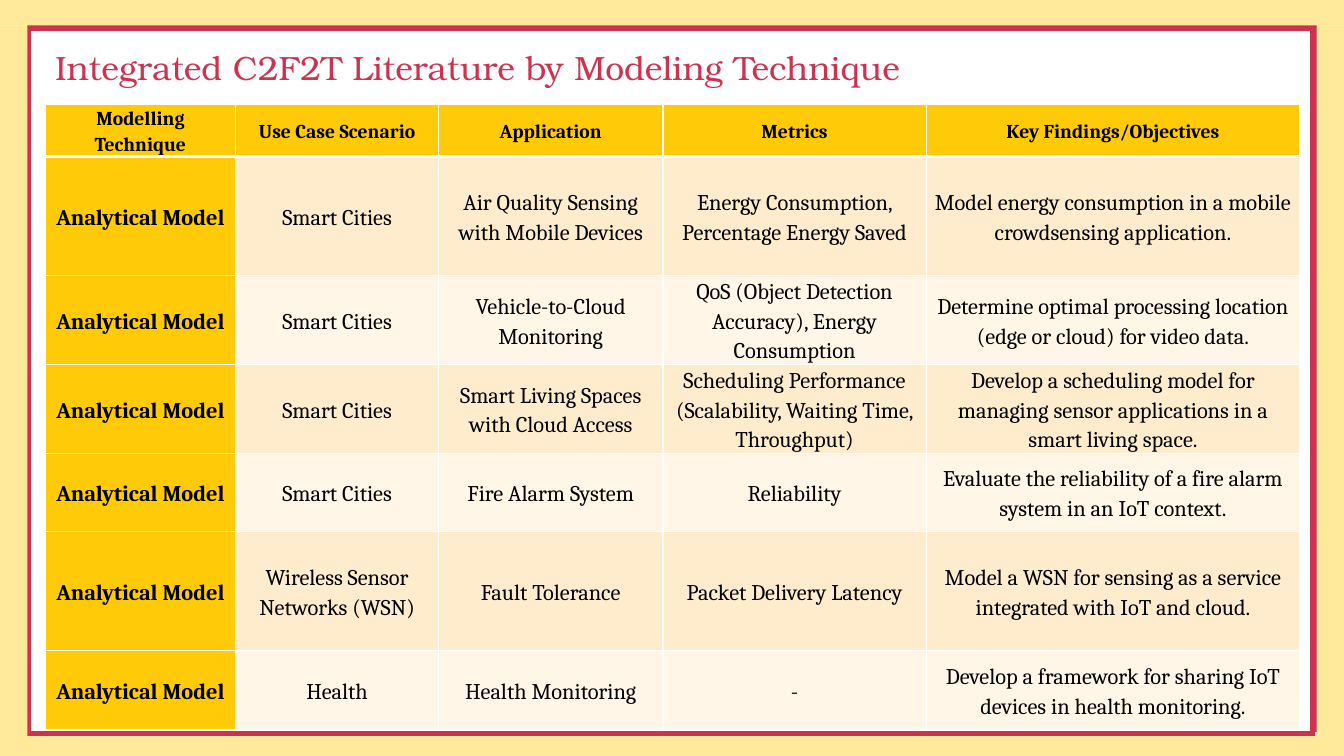
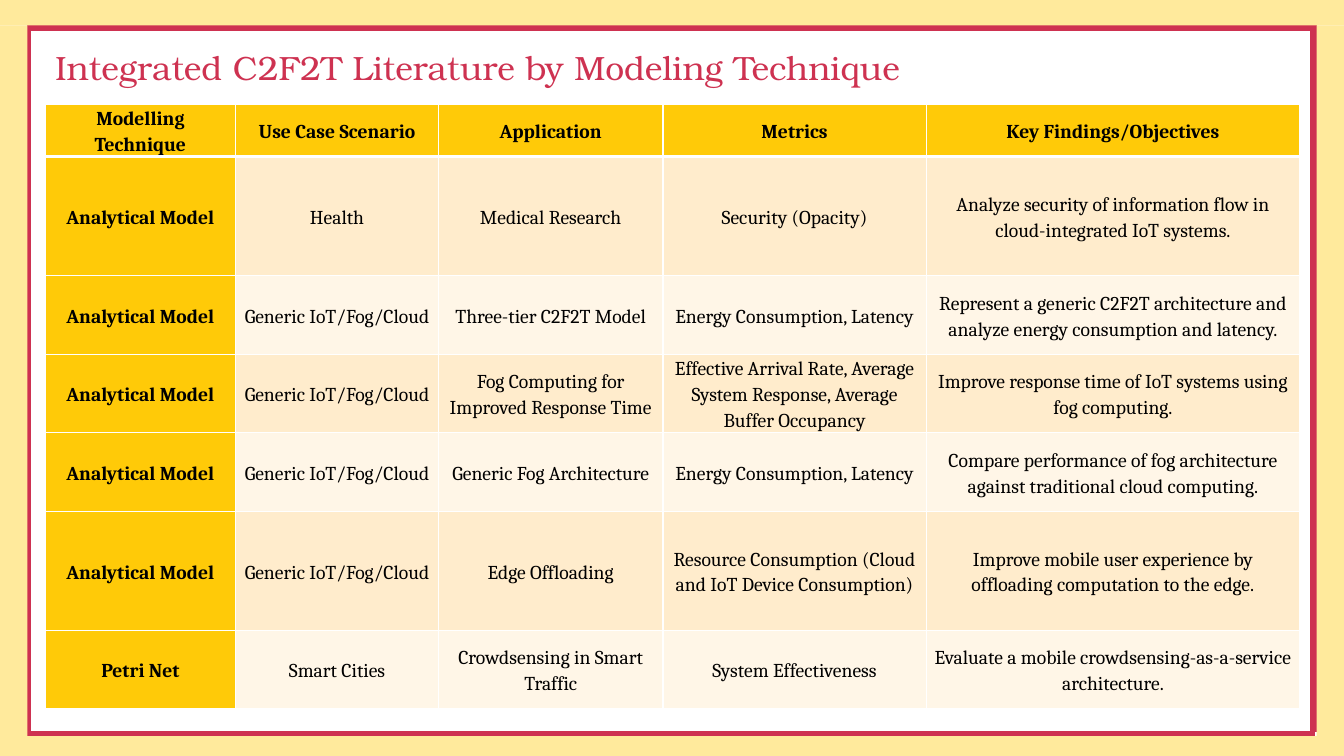
from lxml.etree import SubElement as Sub
from pptx import Presentation
from pptx.dml.color import RGBColor as Rgb
from pptx.enum.shapes import MSO_CONNECTOR as Link, MSO_SHAPE as Form
from pptx.enum.text import MSO_ANCHOR as Anchor, PP_ALIGN as Align
from pptx.oxml.ns import qn
from pptx.util import Cm, Pt

HUES = {"red": "CE3251", "sand": "FFEA9C", "gold": "FFCA08",
        "peach": "FFECCC", "cream": "FFF6E7", "ink": "000000",
        "white": "FFFFFF"}
WIDE, HIGH = 33.87, 19.05
EDGE = 0.64  # height of the top and bottom bands
SIDE = 0.69  # width of the side bands
BANDS = [(0, 0, WIDE, EDGE), (0, HIGH - 0.5, WIDE, 0.5),
         (0, EDGE, SIDE, HIGH - 2 * EDGE + 0.14),
         (WIDE - SIDE, EDGE, SIDE, HIGH - 2 * EDGE + 0.14)]
RULES = [(0.66, 18.49, 33.15, 18.49), (0.71, 0.71, 0.71, 18.54),
         (0.69, 0.71, 33.17, 0.71), (33.1, 0.61, 33.1, 18.44)]
LEFT, SPAN = 1.14, 31.62
COLS = [4.8, 5.11, 5.66, 6.63, 9.42]
ROWS = [0.97, 3, 1.98, 1.98, 1.98, 3, 1.98]

TITLE = "Integrated C2F2T Literature by Modeling Technique"
HEAD = ["Modelling Technique", "Use Case Scenario", "Application",
        "Metrics", "Key Findings/Objectives"]
MODEL, CITY, FOG = "Analytical Model", "Smart Cities", "Generic IoT/Fog/Cloud"

FIRST = [
    [MODEL, CITY, "Air Quality Sensing with Mobile Devices",
     "Energy Consumption, Percentage Energy Saved",
     "Model energy consumption in a mobile crowdsensing application."],
    [MODEL, CITY, "Vehicle-to-Cloud Monitoring",
     "QoS (Object Detection Accuracy), Energy Consumption",
     "Determine optimal processing location (edge or cloud) for video data."],
    [MODEL, CITY, "Smart Living Spaces with Cloud Access",
     "Scheduling Performance (Scalability, Waiting Time, Throughput)",
     "Develop a scheduling model for managing sensor applications in a "
     "smart living space."],
    [MODEL, CITY, "Fire Alarm System", "Reliability",
     "Evaluate the reliability of a fire alarm system in an IoT context."],
    [MODEL, "Wireless Sensor Networks (WSN)", "Fault Tolerance",
     "Packet Delivery Latency",
     "Model a WSN for sensing as a service integrated with IoT and cloud."],
    [MODEL, "Health", "Health Monitoring", "-",
     "Develop a framework for sharing IoT devices in health monitoring."],
]
SECOND = [
    [MODEL, "Health", "Medical Research", "Security (Opacity)",
     "Analyze security of information flow in cloud-integrated IoT systems."],
    [MODEL, FOG, "Three-tier C2F2T Model", "Energy Consumption, Latency",
     "Represent a generic C2F2T architecture and analyze energy consumption "
     "and latency."],
    [MODEL, FOG, "Fog Computing for Improved Response Time",
     "Effective Arrival Rate, Average System Response, Average Buffer "
     "Occupancy",
     "Improve response time of IoT systems using fog computing."],
    [MODEL, FOG, "Generic Fog Architecture", "Energy Consumption, Latency",
     "Compare performance of fog architecture against traditional cloud "
     "computing."],
    [MODEL, FOG, "Edge Offloading",
     "Resource Consumption (Cloud and IoT Device Consumption)",
     "Improve mobile user experience by offloading computation to the edge."],
    ["Petri Net", CITY, "Crowdsensing in Smart Traffic",
     "System Effectiveness",
     "Evaluate a mobile crowdsensing-as-a-service architecture."],
]


def tint(name):
    return Rgb.from_string(HUES[name])


def write(frame, text, size=14, face="Cambria", hue="ink", bold=False,
          align=Align.CENTER, lead=1.15, after=0):
    para = frame.paragraphs[0]
    para.alignment, para.line_spacing = align, lead
    para.space_before, para.space_after = Pt(0), Pt(after)
    run = para.add_run()
    run.text = text
    font = run.font
    font.size, font.name, font.bold = Pt(size), face, bold
    font.color.rgb = tint(hue)


def border(cell, **widths):
    """Draw white cell edges; widths are points by side, 1 by default."""
    props = cell._tc.get_or_add_tcPr()
    for side in "LRTB":
        line = Sub(props, qn("a:ln" + side), w=str(Pt(widths.get(side, 1))))
        fill = Sub(line, qn("a:solidFill"))
        Sub(fill, qn("a:srgbClr"), val=HUES["white"])


class Deck:
    def __init__(self):
        self.file = Presentation()
        self.file.slide_width, self.file.slide_height = Cm(WIDE), Cm(HIGH)

    def start(self, title):
        self.slide = self.file.slides.add_slide(self.file.slide_layouts[5])
        for rule in RULES:
            self.rule(*rule)
        for band in BANDS:
            self.band(*band)
        self.title(title)

    def rule(self, *ends):
        line = self.slide.shapes.add_connector(Link.STRAIGHT, *map(Cm, ends))
        line.line.color.rgb, line.line.width = tint("red"), Pt(4.5)
        Sub(line._element.spPr, qn("a:effectLst"))

    def band(self, *place):
        band = self.slide.shapes.add_shape(Form.RECTANGLE, *map(Cm, place))
        band.shadow.inherit = False
        band.fill.solid()
        band.fill.fore_color.rgb = tint("sand")
        band.line.fill.background()

    def title(self, text):
        box = self.slide.shapes.title
        box.left, box.top = Cm(LEFT), Cm(0.89)
        box.width, box.height = Cm(SPAN), Cm(1.75)
        box.text_frame.vertical_anchor = Anchor.MIDDLE
        write(box.text_frame, text, size=24, face="TeX Gyre Bonum",
              hue="red", align=Align.LEFT, lead=0.9)

    def table(self, rows, size):
        grid = self.slide.shapes.add_table(
            len(ROWS), len(COLS), Cm(LEFT), Cm(2.64), Cm(SPAN),
            Cm(sum(ROWS))).table
        for col, width in zip(grid.columns, COLS):
            col.width = Cm(width)
        for row, height in zip(grid.rows, ROWS):
            row.height = Cm(height)
        for r, texts in enumerate([HEAD] + rows):
            for c, text in enumerate(texts):
                self.cell(grid.cell(r, c), text, r, c, size)

    def cell(self, cell, text, r, c, size):
        key = r == 0 or c == 0
        border(cell, T=3 if r == 1 else 1, B=1 if r else 3)
        cell.fill.solid()
        cell.fill.fore_color.rgb = tint(
            "gold" if key else "peach" if r % 2 else "cream")
        cell.vertical_anchor = Anchor.MIDDLE
        cell.margin_left = cell.margin_right = Cm(0.19)
        cell.margin_top = cell.margin_bottom = 0
        write(cell.text_frame, text, size=size if r else 14, bold=key,
              after=8 if r else 0)


def main():
    deck = Deck()
    for rows, size in [(FIRST, 16), (SECOND, 14)]:
        deck.start(TITLE)
        deck.table(rows, size)
    deck.file.save("out.pptx")


if __name__ == "__main__":
    main()
